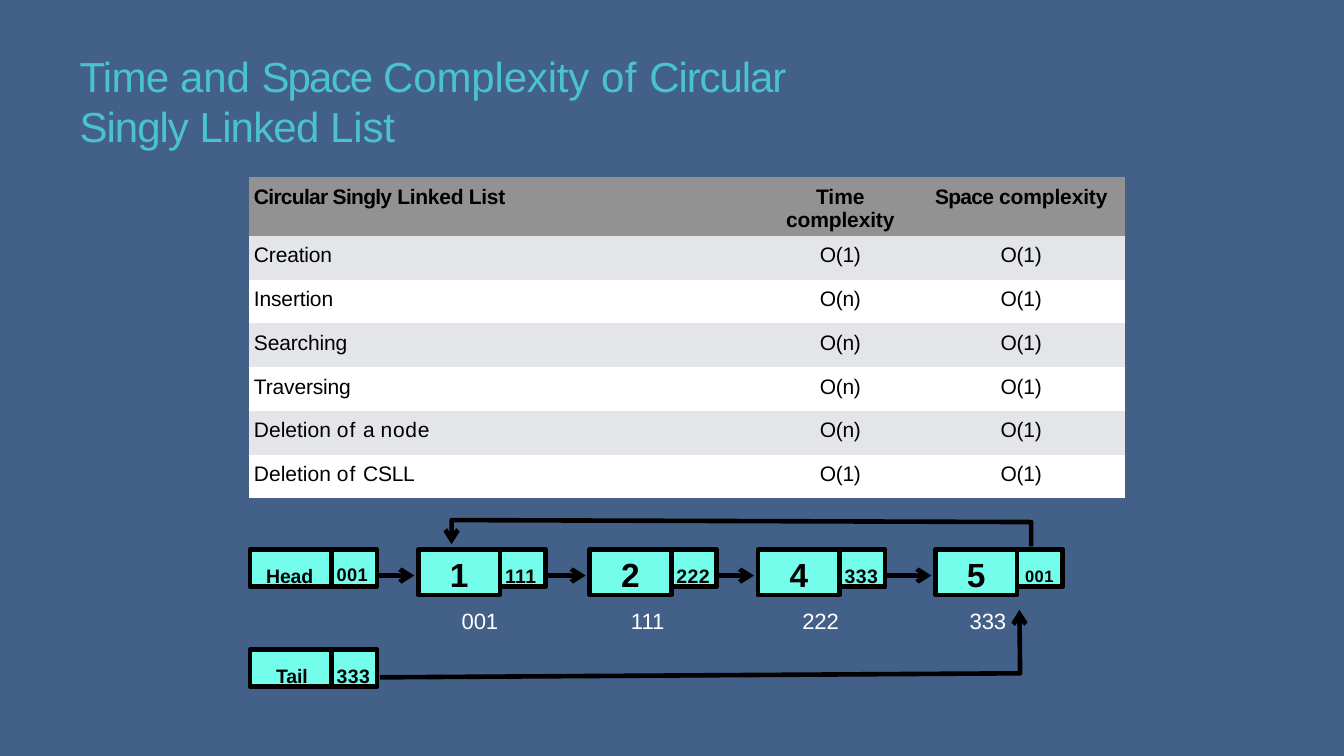
from itertools import pairwise
from typing import NamedTuple

from lxml import etree
from pptx import Presentation
from pptx import util as u
from pptx.dml.color import RGBColor
from pptx.enum import shapes, text
from pptx.oxml import ns

COLORS = {"background": "436089", "title": "49C3D2", "node": "73FDEA", "black": "000000",
          "white": "FFFFFF", "header": "929292", "band": "E3E5E8"}
SLIDE_WIDTH, SLIDE_HEIGHT = u.Inches(13.33), u.Inches(7.5)
COLUMNS, ROWS = 160, 90
FONT = "Arial"
LINE_WIDTH = u.Pt(3.3)
PLAIN_TABLE_STYLE = "{2D5ABB26-0587-4C30-8999-92F81FD0307C}"
LEFT, CENTER = text.PP_ALIGN.LEFT, text.PP_ALIGN.CENTER


class Box(NamedTuple):
    """A region measured in grid columns and rows."""
    left: float
    top: float
    width: float
    height: float

    def inside(self, left, top, width, height):
        """Return a box placed relative to this one."""
        return Box(self.left + left, self.top + top, width, height)


def across(columns):
    """Convert grid columns to a length."""
    return u.Emu(round(columns * SLIDE_WIDTH / COLUMNS))


def down(rows):
    """Convert grid rows to a length."""
    return u.Emu(round(rows * SLIDE_HEIGHT / ROWS))


def place(box):
    """Return left, top, width and height as lengths."""
    return across(box.left), down(box.top), across(box.width), down(box.height)


def color(name):
    """Look up a named colour."""
    return RGBColor.from_string(COLORS[name])


def write(frame, runs, size, color_name="black", bold=False, align=LEFT):
    """Write one paragraph from (text, letter spacing) pairs."""
    frame.word_wrap = True
    paragraph = frame.paragraphs[0]
    paragraph.alignment = align
    for words, spacing in runs:
        run = paragraph.add_run()
        run.text = words
        run.font.name, run.font.size, run.font.bold = FONT, u.Pt(size), bold
        run.font.color.rgb = color(color_name)
        run._r.get_or_add_rPr().set("spc", str(round(spacing * 100)))


def set_margins(holder, left, top):
    """Inset text from the left and top edges only."""
    holder.margin_left, holder.margin_top = across(left), down(top)
    holder.margin_right = holder.margin_bottom = 0


def add_text(slide, box, runs, size, color_name, left, top):
    """Add a text box."""
    frame = slide.shapes.add_textbox(*place(box)).text_frame
    set_margins(frame, left, top)
    write(frame, runs, size, color_name)


def add_cell(slide, box, runs, size, left, top, align=LEFT):
    """Add one outlined rectangle of a list node."""
    shape = slide.shapes.add_shape(shapes.MSO_SHAPE.RECTANGLE, *place(box))
    shape.shadow.inherit = False
    shape.fill.solid()
    shape.fill.fore_color.rgb = color("node")
    shape.line.color.rgb = color("black")
    shape.line.width = LINE_WIDTH
    shape.text_frame.vertical_anchor = text.MSO_ANCHOR.TOP
    set_margins(shape.text_frame, left, top)
    write(shape.text_frame, runs, size, bold=True, align=align)


def add_arrow(slide, box, points):
    """Draw an arrow through points given relative to the box."""
    path_points = [(across(box.left + x), down(box.top + y)) for x, y in points]
    if len(path_points) == 2:
        arrow = slide.shapes.add_connector(
            shapes.MSO_CONNECTOR.STRAIGHT, *path_points[0], *path_points[1])
        etree.SubElement(arrow._element.spPr, ns.qn("a:effectLst"))
    else:
        builder = slide.shapes.build_freeform(*path_points[0], scale=1.0)
        builder.add_line_segments(path_points[1:], close=False)
        arrow = builder.convert_to_shape()
        arrow.shadow.inherit = False
        arrow.fill.background()
    arrow.line.color.rgb = color("black")
    arrow.line.width = LINE_WIDTH
    etree.SubElement(arrow.line._get_or_add_ln(), ns.qn("a:tailEnd"), type="arrow")
    properties = arrow._element.spPr
    properties.append(properties.find(ns.qn("a:effectLst")))


def add_title(slide, box):
    """Add the slide title."""
    runs = [("Time ", -0.5), ("and ", -0.1), ("Space ", -1.3), ("Complexity ", -0.1),
            ("of ", 0.4), ("Circular ", -0.8), ("Singly ", -0.7), ("Linked ", -0.6),
            ("List", -0.1)]
    add_text(slide, box, runs, 30, "title", 6.84, 2.64)


def add_complexity_table(slide, box):
    """Add the table of operations and their complexities."""
    operations = [([("Creation", -0.1)], "O(1)"), ([("Insertion", -0.1)], "O(n)"),
                  ([("Searching", -0.1)], "O(n)"), ([("Traversing", -0.1)], "O(n)"),
                  ([("Deletion ", 0), ("of ", 0.7), ("a ", 0), ("node", 0.5)], "O(n)"),
                  ([("Deletion ", 0), ("of ", 0.7), ("CSLL", -0.2)], "O(1)")]
    header = [[("Circular Singly ", -0.5), ("Linked List", -0.2)],
              [("Time ", 0), ("complexity", -0.1)], [("Space ", -0.5), ("complexity", -0.1)]]
    rows = [header] + [[name, [(time, -0.2)], [("O(1)", -0.2)]] for name, time in operations]
    column_styles = [(0.42, 0.6, LEFT), (0.34, 17.76, CENTER), (0.24, 0.36, CENTER)]
    header_height = 6.9
    table = slide.shapes.add_table(len(rows), len(column_styles), *place(box)).table
    table._tbl.tblPr.find(ns.qn("a:tableStyleId")).text = PLAIN_TABLE_STYLE
    table.first_row = table.horz_banding = False
    for column, (share, _, _) in zip(table.columns, column_styles):
        column.width = across(box.width * share)
    for index, row in enumerate(rows):
        table.rows[index].height = down(
            (box.height - header_height) / len(operations) if index else header_height)
        fill = "header" if index == 0 else "band" if index % 2 else "white"
        for position, (runs, (_, indent, align)) in enumerate(zip(row, column_styles)):
            cell = table.cell(index, position)
            cell.fill.solid()
            cell.fill.fore_color.rgb = color(fill)
            set_margins(cell, indent, 0.96)
            write(cell.text_frame, runs, 15, bold=index == 0, align=align)


def add_linked_list(slide, box):
    """Add the head and tail pointers, the nodes and the links between them."""
    data_width, link_width, data_height, link_height = 9.72, 5.4, 5.4, 4.44
    node_top, tail_top, link_row = 3.5, 15.4, 6.6
    pointers = [("Head", "001", node_top, 1.92, 13), ("Tail", "333", tail_top, 3.12, 13.9)]
    nodes = [(20.04, "1", "111", "001", 4.92, 13.9), (40.44, "2", "222", "111", 4.68, 13.9),
             (60.48, "4", "333", "222", 5.04, 13.9), (81.6, "5", "001", "333", 3.84, 11.8)]

    def add_link(left, top, address, size):
        """Add the address cell to the right of a data cell."""
        small = size < 13
        add_cell(slide, box.inside(left + data_width, top, link_width, link_height),
                 [(address, 0.3)], size, 0.96 if small else 0.6, 1.92 if small else 1.68)

    for name, address, top, indent, size in pointers:
        add_cell(slide, box.inside(0, top, data_width, link_height),
                 [(name, -0.1)], 13.9, indent, 1.68)
        add_link(0, top, address, size)
    for left, value, following, address, label_offset, size in nodes:
        add_cell(slide, box.inside(left, node_top, data_width, data_height),
                 [(value, 0.9)], 23.9, 0, 0.6, CENTER)
        add_link(left, node_top, following, size)
        add_text(slide, box.inside(left + label_offset, 10.32, 4.68, 3.36),
                 [(address, -0.1)], 15.8, "white", 0.24, 0.12)
    for start, end in pairwise([0] + [node[0] for node in nodes]):
        add_arrow(slide, box, [(start + data_width + link_width + 0.24, link_row),
                               (end - 0.48, link_row)])
    add_arrow(slide, box, [(15.48, 18.72), (91.68, 18.24), (91.6, 10.68)])
    add_arrow(slide, box, [(93, 3.12), (93, 0.24), (24, 0), (24, 2.88)])


def build():
    """Build and save the presentation."""
    presentation = Presentation()
    presentation.slide_width, presentation.slide_height = SLIDE_WIDTH, SLIDE_HEIGHT
    slide = presentation.slides.add_slide(presentation.slide_layouts[6])
    slide.background.fill.solid()
    slide.background.fill.fore_color.rgb = color("background")
    add_title(slide, Box(2.64, 3.36, 91.92, 14.88))
    add_complexity_table(slide, Box(29.64, 21.12, 104.28, 38.16))
    add_linked_list(slide, Box(29.76, 61.92, 96.84, 19.8))
    presentation.save("out.pptx")


build()
